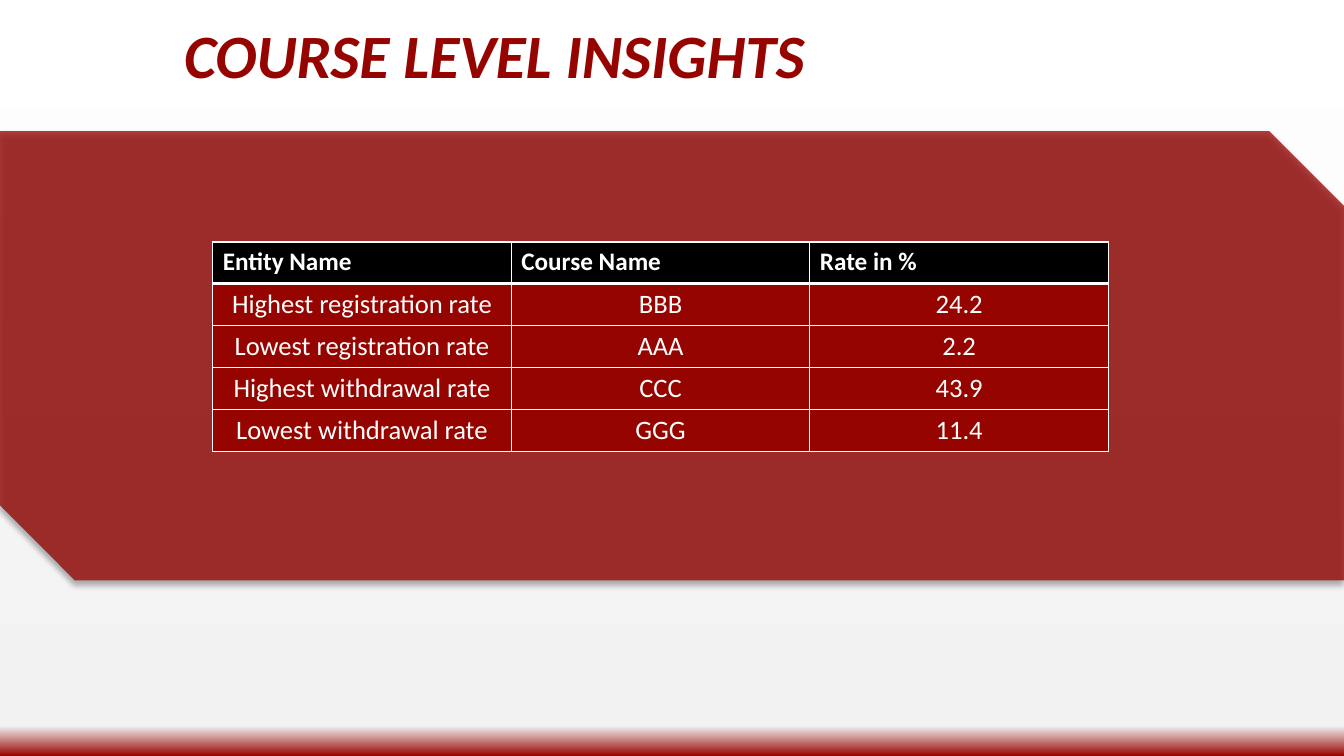
"""Build the course level insights slide."""
from lxml import etree
from pptx import Presentation
from pptx.dml.color import RGBColor
from pptx.enum.shapes import MSO_SHAPE as SHAPE
from pptx.enum.text import MSO_ANCHOR as ANCHOR, PP_ALIGN as ALIGN
from pptx.oxml import parse_xml
from pptx.oxml.ns import qn
from pptx.util import Pt

TITLE = "COURSE LEVEL INSIGHTS"
ROWS = [
    ("Entity Name", "Course Name", "Rate in %"),
    ("Highest registration rate", "BBB", "24.2"),
    ("Lowest registration rate", "AAA", "2.2"),
    ("Highest withdrawal rate", "CCC", "43.9"),
    ("Lowest withdrawal rate", "GGG", "11.4"),
]

RED = RGBColor(0x96, 0x04, 0x00)
GREY = RGBColor(0xF2, 0xF2, 0xF2)
WHITE = RGBColor(0xFF, 0xFF, 0xFF)
BLACK = RGBColor(0, 0, 0)
BACKGROUND = [(1, WHITE), (96, GREY), (100, RED)]

FONT = "Calibri"
WIDTH, HEIGHT = 960, 540
TITLE_BOX = (18, 3.6, 671, 68.4)
BAND = (0, 93.6, WIDTH, 321)
TABLE_LEFT, TABLE_TOP = 151.9, 172.8
COL_WIDTH, ROW_HEIGHT = 213.3, 29.8
BAND_OPACITY = 76
NS = 'xmlns:a="http://schemas.openxmlformats.org/drawingml/2006/main"'


def points(box):
    return [Pt(v) for v in box]


def set_background(s):
    fill = s.background.fill
    fill.gradient()
    fill.gradient_angle = 270
    stops = next(s.element.iter(qn("a:gsLst")))
    for stop in list(stops):
        stops.remove(stop)
    for pos, color in BACKGROUND:
        stops.append(parse_xml(
            f'<a:gs {NS} pos="{pos * 1000}"><a:srgbClr val="{color}"/></a:gs>'))


def style(p, size, color, bold, italic=False, align=ALIGN.LEFT):
    p.alignment = align
    f = p.font
    f.name, f.size, f.bold, f.italic = FONT, Pt(size), bold, italic
    f.color.rgb = color


def add_title(s):
    tf = s.shapes.add_textbox(*points(TITLE_BOX)).text_frame
    tf.word_wrap = True
    tf.vertical_anchor = ANCHOR.BOTTOM
    tf.margin_left = tf.margin_right = tf.margin_top = tf.margin_bottom = Pt(7.2)
    p = tf.paragraphs[0]
    p.text = TITLE
    style(p, 44, RED, True, True, ALIGN.CENTER)


def add_band(s):
    sp = s.shapes.add_shape(SHAPE.SNIP_2_DIAG_RECTANGLE, *points(BAND))
    sp.fill.solid()
    sp.fill.fore_color.rgb = RED
    sp.line.fill.background()
    color = next(sp.element.spPr.iter(qn("a:srgbClr")))
    etree.SubElement(color, qn("a:alpha"), val=str(BAND_OPACITY * 1000))
    sp.element.spPr.append(parse_xml(
        f'<a:effectLst {NS}><a:outerShdw blurRad="{Pt(4)}" dist="{Pt(3)}" '
        f'dir="5400000" rotWithShape="0"><a:srgbClr val="{BLACK}">'
        '<a:alpha val="40000"/></a:srgbClr></a:outerShdw></a:effectLst>'))


def set_borders(cell, top, bottom):
    tc_pr = cell._tc.get_or_add_tcPr()
    for side, width in (("L", 1), ("R", 1), ("T", top), ("B", bottom)):
        tc_pr.append(parse_xml(
            f'<a:ln{side} {NS} w="{Pt(width)}"><a:solidFill>'
            f'<a:srgbClr val="{WHITE}"/></a:solidFill></a:ln{side}>'))


def add_rates(s):
    n_rows, n_cols = len(ROWS), len(ROWS[0])
    box = (TABLE_LEFT, TABLE_TOP, n_cols * COL_WIDTH, n_rows * ROW_HEIGHT)
    table = s.shapes.add_table(n_rows, n_cols, *points(box)).table
    for col in table.columns:
        col.width = Pt(COL_WIDTH)
    for i, row in enumerate(ROWS):
        table.rows[i].height = Pt(ROW_HEIGHT)
        header = i == 0
        for j, text in enumerate(row):
            cell = table.cell(i, j)
            set_borders(cell, 3 if i == 1 else 1, 3 if header else 1)
            cell.fill.solid()
            cell.fill.fore_color.rgb = BLACK if header else RED
            p = cell.text_frame.paragraphs[0]
            p.text = text
            style(p, 18 if header else 19, WHITE, header,
                  align=ALIGN.LEFT if header else ALIGN.CENTER)


def main():
    prs = Presentation()
    prs.slide_width, prs.slide_height = Pt(WIDTH), Pt(HEIGHT)
    s = prs.slides.add_slide(prs.slide_layouts[6])
    set_background(s)
    add_title(s)
    add_band(s)
    add_rates(s)
    prs.save("out.pptx")


if __name__ == "__main__":
    main()
